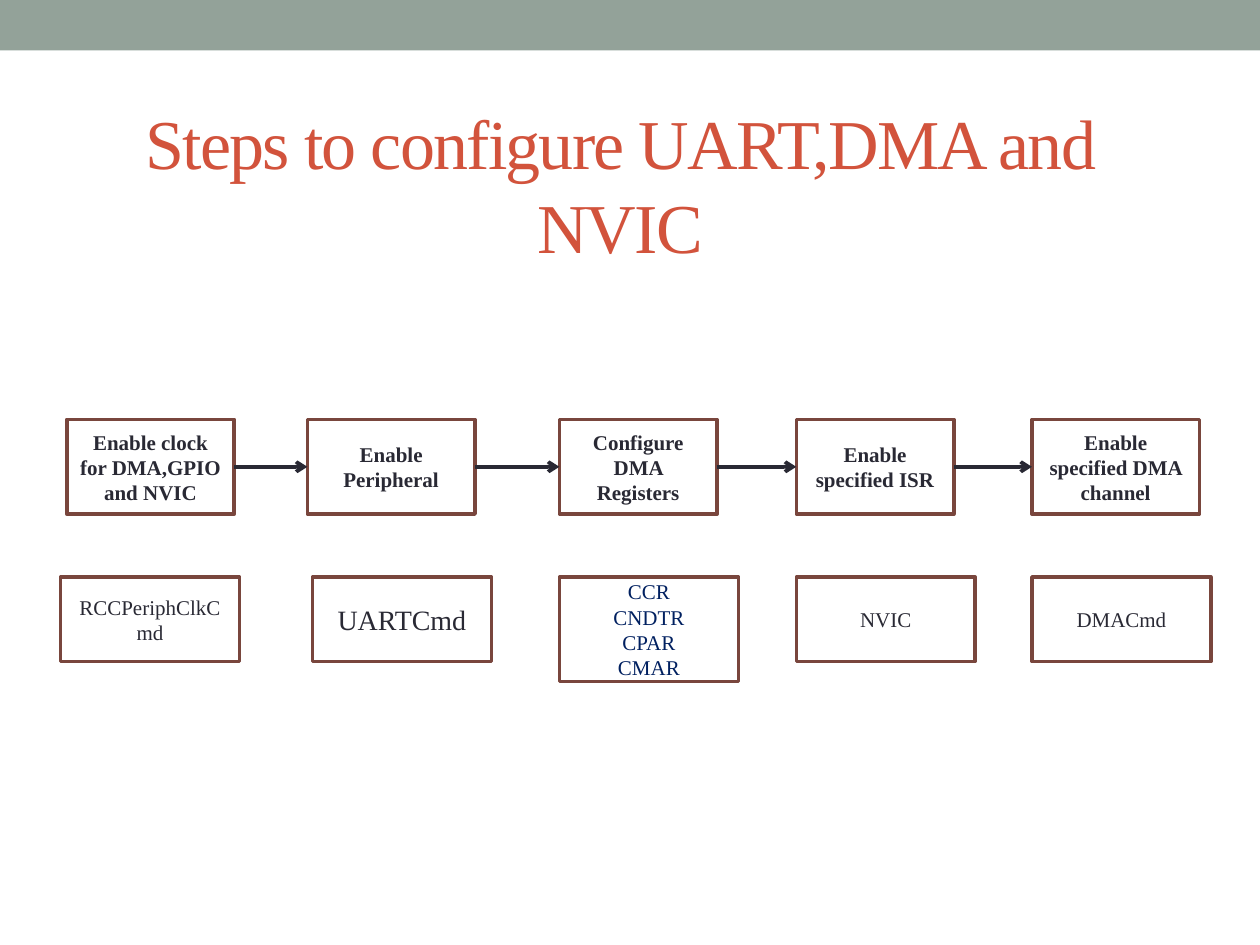
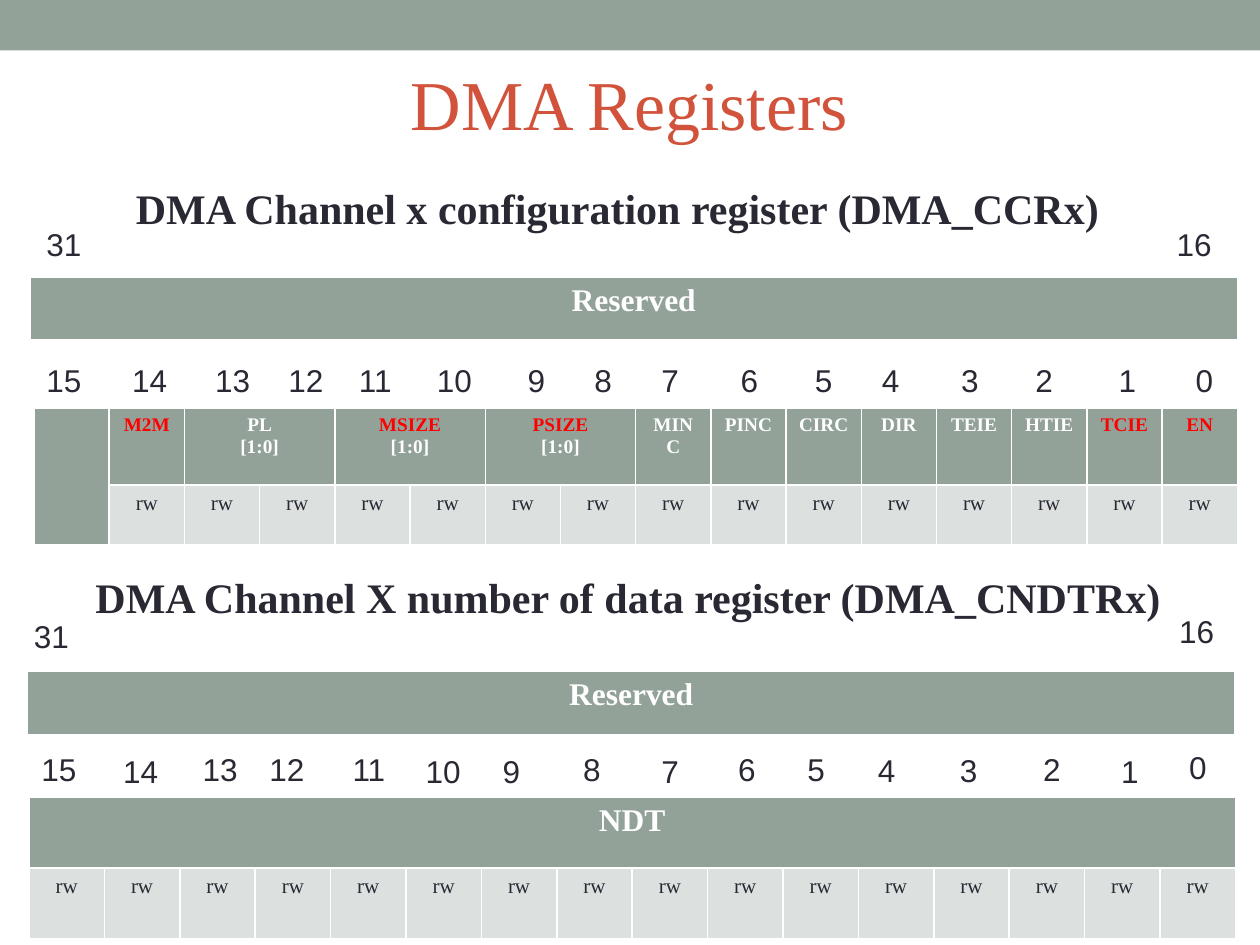
"""Two slides on configuring UART with DMA: the steps and the register maps."""
from pptx import Presentation
from pptx.dml.color import RGBColor
from pptx.enum.shapes import MSO_CONNECTOR, MSO_SHAPE
from pptx.enum.text import MSO_ANCHOR, MSO_AUTO_SIZE, PP_ALIGN
from pptx.oxml.ns import qn
from pptx.util import Inches, Pt
from lxml.etree import SubElement

SAGE, PALE, WHITE = "93A299", "DCE0DE", "FFFFFF"
INK, NAVY, RED, RUST, BROWN = "292934", "002060", "FF0000", "D2533C", "79463D"
SERIF, SANS = "Times New Roman", "Arial"
rgb = RGBColor.from_string

prs = Presentation()
prs.slide_width, prs.slide_height = Inches(10), Inches(7.5)
unit = prs.slide_width // 100


def at(*cells):
    """Turn places on the grid of 100 columns by 75 rows into lengths."""
    return [round(c * unit) for c in cells]


def write(tf, text, size, color, bold=False, font=SERIF, align=PP_ALIGN.CENTER):
    """Fill a text frame, one paragraph a line."""
    tf.text = text
    tf.word_wrap = True
    for p in tf.paragraphs:
        p.alignment = align
        p.font.name, p.font.size, p.font.bold = font, Pt(size), bold
        p.font.color.rgb = rgb(color)


titles = [
    ("Steps to configure UART,DMA and NVIC", (4.2, 8.3, 90, 12.5)),
    ("DMA Registers", (11.5, 4.3, 76.9, 7.7)),
]
for text, place in titles:
    s = prs.slides.add_slide(prs.slide_layouts[5])
    title = s.shapes.title
    title.left, title.top, title.width, title.height = at(*place)
    write(title.text_frame, text, 40, RUST)
    title.text_frame.auto_size = MSO_AUTO_SIZE.NONE
    title.text_frame.vertical_anchor = MSO_ANCHOR.MIDDLE
steps, registers = prs.slides

band = steps.shapes.add_shape(MSO_SHAPE.RECTANGLE, *at(0, 0, 100, 4))
band.shadow.inherit = False
band.fill.solid()
band.fill.fore_color.rgb = rgb(SAGE)
band.line.fill.background()
prs.slide_master.shapes.element.insert(2, band.element)

for r in steps.shapes.title.text_frame.paragraphs[0].runs:
    r.font._element.set("spc", "-100")

boxes = [
    ("Enable clock for DMA,GPIO and NVIC", 5.3, 33.3, 13.3, 7.5, 12, INK, True),
    ("Enable Peripheral", 24.4, 33.3, 13.3, 7.5, 12, INK, True),
    ("Configure DMA Registers", 44.4, 33.3, 12.5, 7.5, 12, INK, True),
    ("Enable specified ISR", 63.2, 33.3, 12.5, 7.5, 12, INK, True),
    ("Enable specified DMA channel", 81.9, 33.3, 13.3, 7.5, 12, INK, True),
    ("RCCPeriphClkCmd", 4.8, 45.8, 14.2, 6.7, 12, INK, False),
    ("UARTCmd", 24.8, 45.8, 14.2, 6.7, 16, INK, False),
    ("CCR\nCNDTR\nCPAR\nCMAR", 44.4, 45.8, 14.2, 8.3, 12, NAVY, False),
    ("NVIC", 63.2, 45.8, 14.2, 6.7, 12, INK, False),
    ("DMACmd", 81.9, 45.8, 14.2, 6.7, 12, INK, False),
]
drawn = []
for text, left, top, width, height, size, color, bold in boxes:
    sp = steps.shapes.add_shape(MSO_SHAPE.RECTANGLE, *at(left, top, width, height))
    sp.shadow.inherit = False
    sp.fill.solid()
    sp.fill.fore_color.rgb = rgb(WHITE)
    sp.line.color.rgb = rgb(BROWN)
    sp.line.width = Pt(2.08)
    write(sp.text_frame, text, size, color, bold)
    sp.text_frame.vertical_anchor = MSO_ANCHOR.MIDDLE
    drawn.append(sp)

for before, after in zip(drawn[:4], drawn[1:5]):
    arrow = steps.shapes.add_connector(MSO_CONNECTOR.STRAIGHT, 0, 0, 0, 0)
    arrow.begin_connect(before, 3)
    arrow.end_connect(after, 1)
    arrow.line.color.rgb = rgb(INK)
    arrow.line.width = Pt(2.08)
    SubElement(arrow.line._get_or_add_ln(), qn("a:tailEnd"), type="arrow")
    SubElement(arrow.element.spPr, qn("a:effectLst"))

fields = [
    ("", 1), ("M2M", 1), ("PL\n[1:0]", 2), ("MSIZE\n[1:0]", 2), ("PSIZE\n[1:0]", 2),
    ("MINC", 1), ("PINC", 1), ("CIRC", 1), ("DIR", 1), ("TEIE", 1), ("HTIE", 1),
    ("TCIE", 1), ("EN", 1),
]
marked = {"M2M", "MSIZE", "PSIZE", "TCIE", "EN"}
tables = [
    (2.4, 22, 95.8, [5], [("Reserved", 1)], 18),
    (2.7, 32.4, 95.5, [6.1, 4.7], fields, 11),
    (2.2, 53.3, 95.8, [5], [("Reserved", 1)], 18),
    (2.3, 63.3, 95.8, [5.6, 5.6], [("NDT", 16)], 18),
]
for left, top, width, heights, header, size in tables:
    count = sum(span for _, span in header)
    place = at(left, top, width, sum(heights))
    table = registers.shapes.add_table(len(heights), count, *place).table
    for row, height, fill in zip(table.rows, heights, (SAGE, PALE)):
        row.height = at(height)[0]
        for cell in row.cells:
            cell.fill.solid()
            cell.fill.fore_color.rgb = rgb(fill)
    col = 0
    for text, span in header:
        cell = table.cell(0, col)
        if span > 1:
            cell.merge(table.cell(0, col + span - 1))
        if text:
            write(cell.text_frame, text, size, WHITE, True)
            p = cell.text_frame.paragraphs[0]
            if p.text in marked:
                p.font.color.rgb = rgb(RED)
        else:
            cell.merge(table.cell(1, col))
        col += span
    if len(heights) == 2:
        for cell in table.rows[1].cells:
            if not cell.is_spanned:
                write(cell.text_frame, "rw", 12, INK)

headings = [
    ("DMA Channel x configuration register (DMA_CCRx)", 9.8, 14, 80.8),
    ("DMA Channel X number of data register (DMA_CNDTRx)", 6.6, 44.9, 89.4),
]
for text, left, top, width in headings:
    sp = registers.shapes.add_textbox(*at(left, top, width, 5))
    write(sp.text_frame, text, 24, INK, True, align=PP_ALIGN.LEFT)

ccr_lefts = [2.7, 9.5, 16.1, 21.9, 27.5, 33.7, 40.9, 46.2,
             51.5, 57.8, 63.7, 69, 75.3, 81.2, 87.8, 93.9]
cndtr_lefts = [2.3, 8.8, 15.1, 20.4, 27, 32.8, 38.9, 45.3,
               51.5, 57.6, 63.1, 68.7, 75.2, 81.8, 88, 93.4]
cndtr_tops = [59, 59.2, 59, 59, 59, 59.2, 59.2, 59,
              59.2, 59, 59, 59.1, 59.1, 59, 59.2, 58.9]
bits = [(31, 2.7, 17.4), (16, 92.4, 17.4), (31, 1.7, 48.5), (16, 92.6, 48.1)]
bits += zip(range(15, -1, -1), ccr_lefts, [28.2] * 16)
bits += zip(range(15, -1, -1), cndtr_lefts, cndtr_tops)
for bit, left, top in bits:
    sp = registers.shapes.add_textbox(*at(left, top, 5.4, 4))
    write(sp.text_frame, str(bit), 18, INK, font=SANS, align=PP_ALIGN.LEFT)

prs.save("out.pptx")
